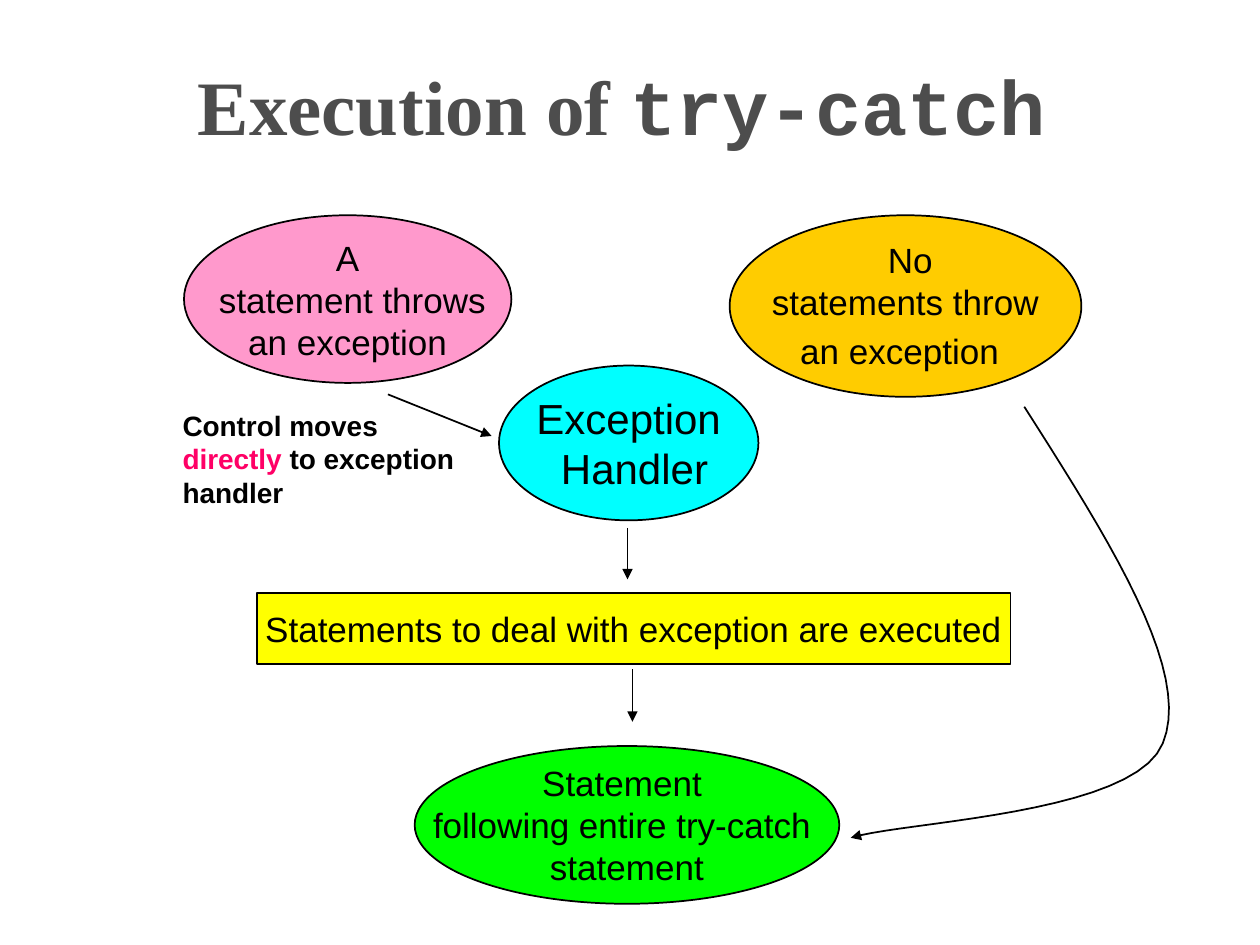
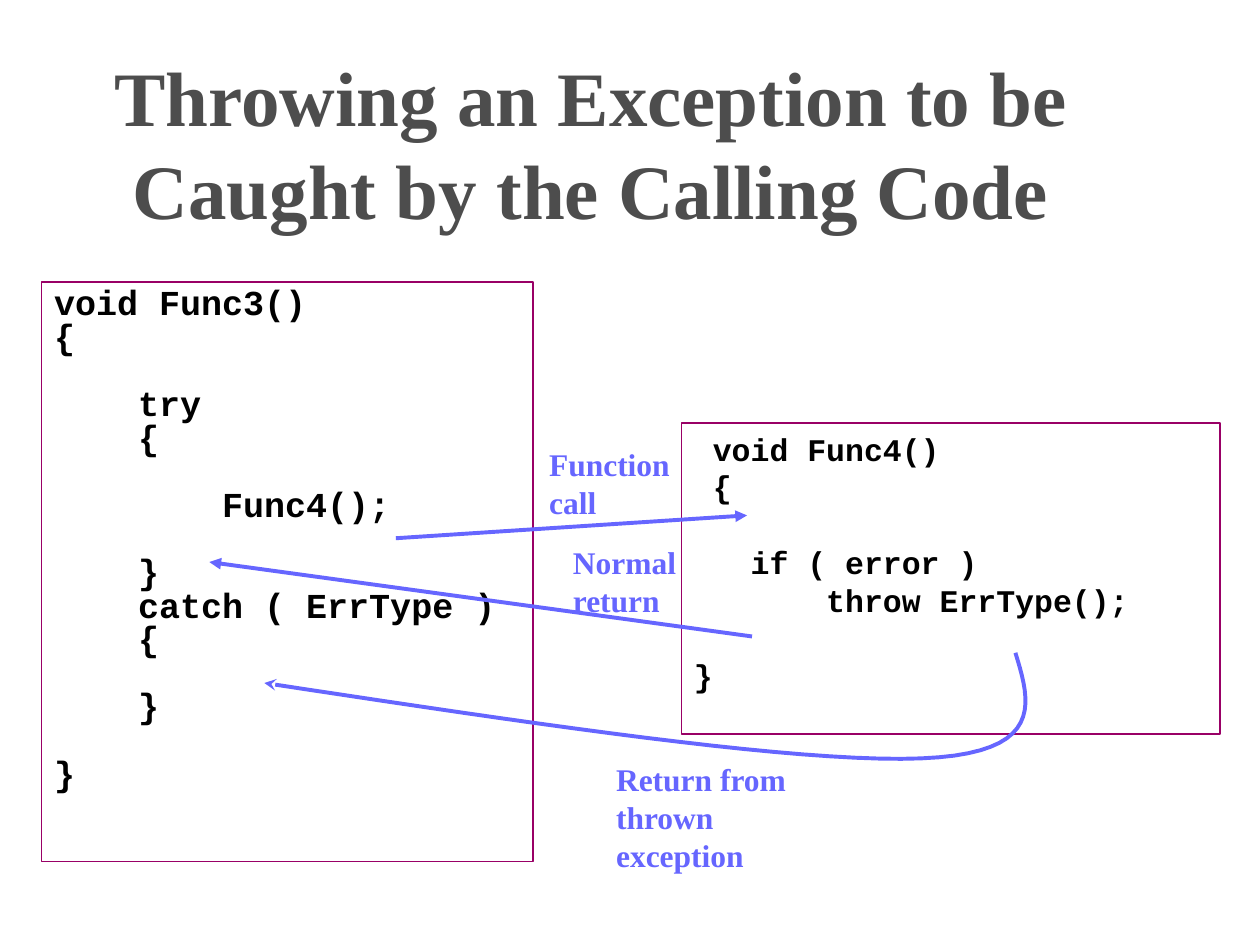
from pptx import Presentation
from pptx.dml.color import RGBColor
from pptx.enum.shapes import MSO_CONNECTOR, MSO_SHAPE
from pptx.enum.text import MSO_ANCHOR, PP_ALIGN
from pptx.oxml.ns import qn
from pptx.oxml.xmlchemy import OxmlElement
from pptx.util import Cm, Pt

ELLIPSE, RECT = MSO_SHAPE.OVAL, MSO_SHAPE.RECTANGLE
STRAIGHT = MSO_CONNECTOR.STRAIGHT
TOP, MIDDLE, BOTTOM = MSO_ANCHOR.TOP, MSO_ANCHOR.MIDDLE, MSO_ANCHOR.BOTTOM
LEFT, CENTER = PP_ALIGN.LEFT, PP_ALIGN.CENTER

BLACK = RGBColor(0, 0, 0)
WHITE = RGBColor(255, 255, 255)
GREY = RGBColor(0x4D, 0x4D, 0x4D)
GOLD = RGBColor(0xFF, 0xCC, 0)
GREEN = RGBColor(0, 0xFF, 0)
PINK = RGBColor(0xFF, 0x99, 0xCC)
CYAN = RGBColor(0, 0xFF, 0xFF)
YELLOW = RGBColor(0xFF, 0xFF, 0)
HOT_PINK = RGBColor(0xFF, 0, 0x66)
PLUM = RGBColor(0x99, 0, 0x66)
VIOLET = RGBColor(0x66, 0x66, 0xFF)

SANS, SERIF, MONO = "Arial", "Times New Roman", "Courier New"
THIN, THICK = Pt(1), Pt(2.25)
CURVE_STEPS = 20
CHAR_WIDTH = 0.6
LINE_HEIGHT = 1.2

TITLE = dict(name=SERIF, size=Pt(44), bold=True, color=GREY)
NODE = dict(name=SANS, size=Pt(20), bold=False, color=BLACK)
BIG_NODE = dict(NODE, size=Pt(24))
NOTE = dict(name=SANS, size=Pt(16), bold=True, color=BLACK)
LABEL = dict(name=SERIF, size=Pt(18), bold=True, color=VIOLET)
CODE = dict(name=MONO, bold=True, color=BLACK)

FUNC3 = [
    (0, 0, "void Func3()"), (0, 0, "{"),
    (1, 4, "try"), (0, 4, "{"),
    (1, 8, "Func4();"),
    (1, 4, "}"), (0, 4, "catch ( ErrType )"), (0, 4, "{"),
    (1, 4, "}"),
    (1, 0, "}"),
]
FUNC4 = [
    (0, 1, "void Func4()"), (0, 1, "{"),
    (1, 3, "if ( error )"), (0, 7, "throw ErrType();"),
    (1, 0, "}"),
]


def add_run(p, text, style):
    r = p.add_run()
    r.text = text
    for key, value in style.items():
        if key == "color":
            r.font.color.rgb = value
        else:
            setattr(r.font, key, value)


def set_frame(s, anchor, wrap=True):
    tf = s.text_frame
    frame = dict(word_wrap=wrap, vertical_anchor=anchor,
                 margin_left=Cm(0.25), margin_right=Cm(0.25),
                 margin_top=Cm(0.13), margin_bottom=Cm(0.13))
    for key, value in frame.items():
        setattr(tf, key, value)
    return tf


def add_lines(tf, lines, style, align):
    for i, line in enumerate(lines):
        p = tf.paragraphs[0] if i == 0 else tf.add_paragraph()
        p.alignment = align
        runs = [(line, {})] if isinstance(line, str) else line
        for text, changes in runs:
            add_run(p, text, {**style, **changes})


def add_text(slide, box, lines, style, align=LEFT, anchor=TOP):
    s = slide.shapes.add_textbox(*map(Cm, box))
    add_lines(set_frame(s, anchor), lines, style, align)


def add_title(slide, left, top, runs):
    add_text(slide, (left, top, 21.79, 3.18), [runs], TITLE, CENTER, BOTTOM)


def add_box(slide, kind, box, fill, line):
    s = slide.shapes.add_shape(kind, *map(Cm, box))
    s.shadow.inherit = False
    s.fill.solid()
    s.fill.fore_color.rgb = fill
    s.line.color.rgb = line
    s.line.width = THIN
    return s


def add_node(slide, kind, box, fill, lines, style=NODE):
    s = add_box(slide, kind, box, fill, BLACK)
    add_lines(set_frame(s, MIDDLE, wrap=False), lines, style, CENTER)


def add_code(slide, box, lines, size, spacing):
    tf = set_frame(add_box(slide, RECT, box, WHITE, PLUM), TOP)
    add_lines(tf, [text for _, _, text in lines],
              dict(CODE, size=Pt(size)), LEFT)
    for p, (gap, column, _) in zip(tf.paragraphs, lines):
        p.line_spacing = spacing
        p.space_before = Pt(gap * size * LINE_HEIGHT * spacing)
        p._p.get_or_add_pPr().set("marL", str(Pt(column * size * CHAR_WIDTH)))


def style_arrow(s, color, width, head):
    s.line.color.rgb = color
    s.line.width = width
    spPr = s._element.spPr
    end = OxmlElement("a:tailEnd")
    end.set("type", head)
    spPr.find(qn("a:ln")).append(end)
    if spPr.find(qn("a:effectLst")) is None:
        spPr.append(OxmlElement("a:effectLst"))


def add_arrow(slide, start, end, color=BLACK, width=THIN):
    s = slide.shapes.add_connector(STRAIGHT, *map(Cm, start + end))
    style_arrow(s, color, width, "triangle")


def bezier(a, b, c, d, t):
    u = 1 - t
    weights = u ** 3, 3 * u * u * t, 3 * u * t * t, t ** 3
    return tuple(Cm(sum(w * v for w, v in zip(weights, axis)))
                 for axis in zip(a, b, c, d))


def add_curve(slide, knots, color=BLACK, width=THIN, head="triangle"):
    points = [bezier(*knots[i:i + 4], step / CURVE_STEPS)
              for i in range(0, len(knots) - 1, 3)
              for step in range(1, CURVE_STEPS + 1)]
    builder = slide.shapes.build_freeform(*map(Cm, knots[0]))
    builder.add_line_segments(points, close=False)
    s = builder.convert_to_shape()
    s.fill.background()
    s.shadow.inherit = False
    style_arrow(s, color, width, head)


def build_execution(slide):
    add_title(slide, 1.65, 0,
              [("Execution of ", {}), ("try-catch", dict(name=MONO))])
    add_node(slide, ELLIPSE, (14.71, 4.34, 7.09, 3.66), GOLD,
             [" No", " statements throw ",
              [("an exception", {}), (" ", dict(size=Pt(24)))]])
    add_node(slide, ELLIPSE, (8.36, 15.04, 8.56, 3.18), GREEN,
             ["Statement ", "following entire try-catch ", "statement"])
    add_node(slide, ELLIPSE, (3.71, 4.34, 6.6, 3.38), PINK,
             ["A", " statement throws", "an exception"])
    add_node(slide, ELLIPSE, (10.06, 7.37, 5.23, 3.12), CYAN,
             ["Exception", " Handler"], BIG_NODE)
    add_node(slide, RECT, (5.18, 11.96, 15.19, 1.42), YELLOW,
             ["Statements to deal with exception are executed"])
    add_arrow(slide, (7.82, 7.95), (9.91, 8.79))
    add_arrow(slide, (12.65, 10.64), (12.65, 11.68))
    add_arrow(slide, (12.75, 13.49), (12.75, 14.55))
    add_curve(slide, [(20.65, 8.2), (22.35, 10.87), (24.05, 13.54),
                      (23.44, 14.99), (22.86, 16.43), (18.19, 16.56),
                      (17.15, 16.89)])
    add_text(slide, (3.43, 8.1, 6.3, 2.29),
             [[("Control moves ", {}), ("directly", dict(color=HOT_PINK)),
               (" to exception handler", {})]], NOTE)


def build_throwing(slide):
    add_title(slide, 1.02, 1.68,
              [("Throwing an Exception to be Caught by the Calling Code", {})])
    add_code(slide, (13.74, 8.53, 10.85, 6.27), FUNC4, 18, 1.0)
    add_text(slide, (11.3, 10.82, 3.48, 1.83), ["Normal", "return"], LABEL)
    add_code(slide, (0.84, 5.69, 9.91, 11.68), FUNC3, 20, 0.8)
    add_arrow(slide, (7.98, 10.85), (15.06, 10.39), VIOLET, THICK)
    add_arrow(slide, (15.16, 12.83), (4.22, 11.33), VIOLET, THICK)
    add_curve(slide, [(20.47, 13.16), (20.78, 14.17), (21.08, 15.19),
                      (18.57, 15.29), (16.03, 15.39), (10.67, 14.58),
                      (5.33, 13.77)], VIOLET, THICK, "stealth")
    add_text(slide, (10.82, 8.84, 3.73, 2.39), ["Function", "call"], LABEL)
    add_text(slide, (12.17, 15.19, 5.05, 2.77),
             ["Return from", "thrown exception"], LABEL)


def main():
    prs = Presentation()
    prs.slide_width, prs.slide_height = Cm(25.4), Cm(19.05)
    for build in (build_execution, build_throwing):
        build(prs.slides.add_slide(prs.slide_layouts[6]))
    prs.save("out.pptx")


main()
